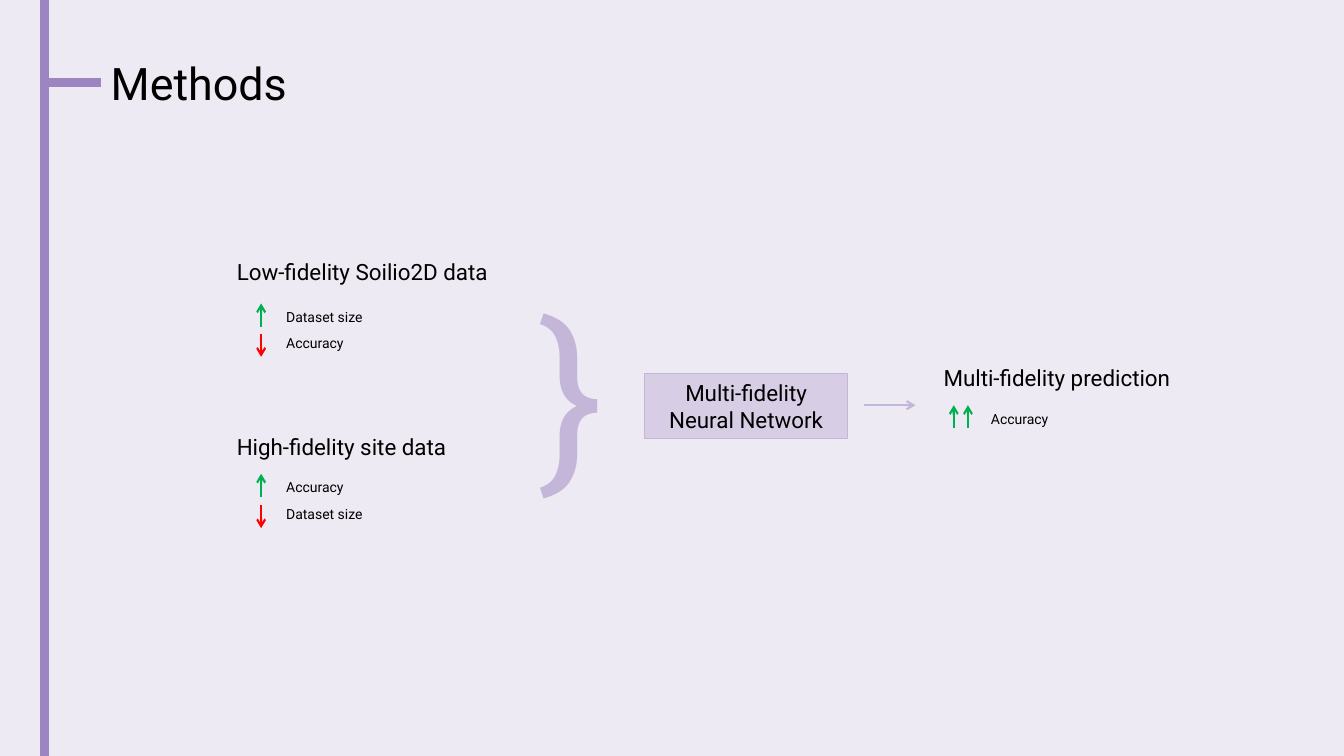
from dataclasses import dataclass

from lxml.etree import SubElement
from pptx import Presentation
from pptx.dml.color import RGBColor
from pptx.enum.shapes import MSO_CONNECTOR as Connector, MSO_SHAPE as Shape
from pptx.enum.text import MSO_ANCHOR as Anchor, PP_ALIGN as Align
from pptx.oxml.ns import qn
from pptx.util import Emu, Inches, Pt

PX = Inches(1) // 100
WIDTH, HEIGHT = 1333, 750
FONT = "Roboto"
BLACK = RGBColor(0x00, 0x00, 0x00)
BACKGROUND = RGBColor(0xED, 0xEA, 0xF3)
PURPLE = RGBColor(0x9C, 0x85, 0xC0)
LILAC = RGBColor(0xC4, 0xB6, 0xD9)
PALE_LILAC = RGBColor(0xD7, 0xCE, 0xE6)
GREEN = RGBColor(0x00, 0xB0, 0x50)
RED = RGBColor(0xFF, 0x00, 0x00)

ARROW_LENGTH = 23
DOWN_ARROW_DROP = 4


@dataclass(frozen=True)
class Trend:
    label: str
    top: int
    rising: bool = True
    arrow_offsets: tuple[int, ...] = (34,)
    label_offset: int = 49


@dataclass(frozen=True)
class Block:
    heading: str
    left: int
    top: int
    trends: tuple[Trend, ...]


BLOCKS = (
    Block("Low-fidelity Soilio2D data", 225, 251,
          (Trend("Dataset size", 301), Trend("Accuracy", 327, rising=False))),
    Block("High-fidelity site data", 225, 425,
          (Trend("Accuracy", 470), Trend("Dataset size", 497, rising=False))),
    Block("Multi-fidelity prediction", 926, 356,
          (Trend("Accuracy", 402, arrow_offsets=(34, 20), label_offset=47),)),
)


def px(*lengths: int) -> list[Emu]:
    return [Emu(length * PX) for length in lengths]


def write(shape, text: str, *, size: int, color: RGBColor = BLACK,
          align: Align = Align.LEFT, anchor: Anchor = Anchor.TOP) -> None:
    frame = shape.text_frame
    frame.word_wrap = True
    frame.vertical_anchor = anchor
    frame.text = text
    for paragraph in frame.paragraphs:
        paragraph.alignment = align
        paragraph.font.name = FONT
        paragraph.font.size = Pt(size)
        paragraph.font.color.rgb = color


def add_text(shapes, text: str, box: tuple[int, int, int, int], *,
             size: int, color: RGBColor = BLACK) -> None:
    write(shapes.add_textbox(*px(*box)), text, size=size, color=color)


def add_line(shapes, start: tuple[int, int], end: tuple[int, int],
             color: RGBColor, *, width: float = 1.5, arrow: bool = True) -> None:
    connector = shapes.add_connector(Connector.STRAIGHT, *px(*start, *end))
    connector.line.color.rgb = color
    connector.line.width = Pt(width)
    properties = connector._element.spPr
    if arrow:
        SubElement(properties.find(qn("a:ln")), qn("a:tailEnd"), type="arrow")
    SubElement(properties, qn("a:effectLst"))


def add_block(slide, block: Block) -> None:
    shapes = slide.shapes.add_group_shape().shapes
    add_text(shapes, block.heading, (block.left, block.top, 298, 37), size=16)
    for trend in block.trends:
        for offset in trend.arrow_offsets:
            x = block.left + offset
            if trend.rising:
                add_line(shapes, (x, trend.top + ARROW_LENGTH), (x, trend.top), GREEN)
            else:
                top = trend.top + DOWN_ARROW_DROP
                add_line(shapes, (x, top), (x, top + ARROW_LENGTH), RED)
        label_left = block.left + trend.label_offset
        add_text(shapes, trend.label, (label_left, trend.top, 298, 27), size=10)


def add_network(slide) -> None:
    box = slide.shapes.add_shape(Shape.RECTANGLE, *px(639, 371, 202, 64))
    box.shadow.inherit = False
    box.fill.solid()
    box.fill.fore_color.rgb = PALE_LILAC
    box.line.color.rgb = LILAC
    box.line.width = Pt(0.75)
    write(box, "Multi-fidelity\nNeural Network", size=16,
          align=Align.CENTER, anchor=Anchor.MIDDLE)


def main() -> None:
    presentation = Presentation()
    presentation.slide_width, presentation.slide_height = px(WIDTH, HEIGHT)
    slide = presentation.slides.add_slide(presentation.slide_layouts[6])
    slide.background.fill.solid()
    slide.background.fill.fore_color.rgb = BACKGROUND

    shapes = slide.shapes
    add_line(shapes, (44, 0), (44, HEIGHT), PURPLE, width=6, arrow=False)
    add_line(shapes, (44, 82), (100, 82), PURPLE, width=6, arrow=False)
    add_text(shapes, "Methods", (100, 50, 430, 64), size=32)
    for block in BLOCKS:
        add_block(slide, block)
    add_network(slide)
    add_text(shapes, "}", (524, 264, 220, 242), size=138, color=LILAC)
    add_line(shapes, (857, 402), (908, 402), LILAC)
    presentation.save("out.pptx")


if __name__ == "__main__":
    main()
